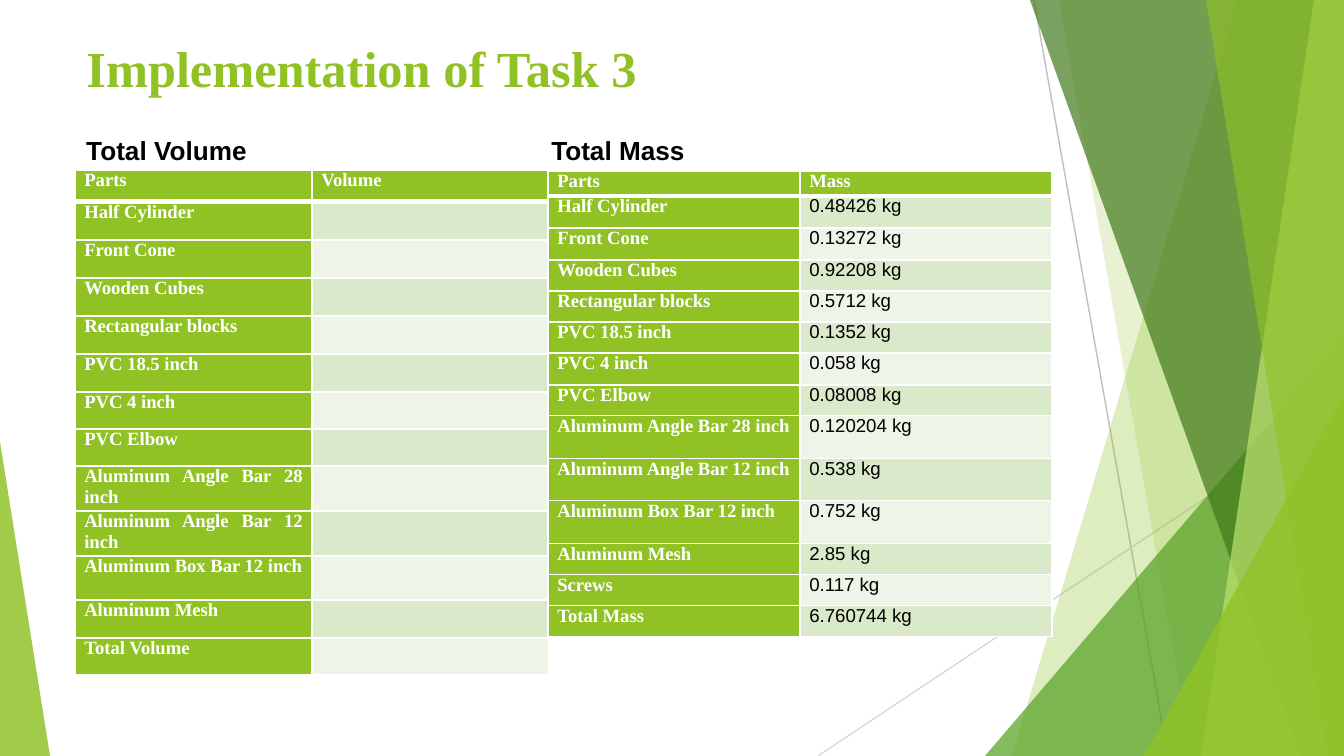
from lxml import etree
from pptx import Presentation
from pptx import util as u
from pptx.dml.color import RGBColor
from pptx.enum import shapes, text
from pptx.oxml.ns import qn

W, H = 1344, 756
SCALE = 9144000 / W
C = {"lime": "90C226", "green": "54A021", "dark": "3F7818", "pale": "BFE471",
     "white": "FFFFFF", "black": "000000", "band": "DBE9CB", "light": "EEF4E7",
     "grey": "BFBFBF", "silver": "D8D8D8"}
SERIF, SANS = "Times New Roman", "Arial"
PARTS = ["Half Cylinder", "Front Cone", "Wooden Cubes", "Rectangular blocks",
         "PVC 18.5 inch", "PVC 4 inch", "PVC Elbow", "Aluminum Angle Bar 28 inch",
         "Aluminum Angle Bar 12 inch", "Aluminum Box Bar 12 inch", "Aluminum Mesh"]
MASSES = ["0.48426 kg", "0.13272 kg", "0.92208 kg", "0.5712 kg", "0.1352 kg",
          "0.058 kg", "0.08008 kg", "0.120204 kg", "0.538 kg", "0.752 kg",
          "2.85 kg", "0.117 kg", "6.760744 kg"]
VOLUME_HEIGHTS = [32] + [38] * 5 + [37] * 2 + [45, 45, 44, 38, 37]
MASS_HEIGHTS = [25, 32, 32, 31, 31, 31, 32, 31, 43, 42, 43, 31, 31, 31]


def px(*lengths):
    """Turn px lengths into a list of EMU lengths."""
    return [u.Emu(round(n * SCALE)) for n in lengths]


def rgb(name):
    """Look up a colour by name."""
    return RGBColor.from_string(C[name])


def style(p, font, size, color, bold):
    """Set the font of a whole paragraph."""
    f = p.font
    f.name, f.size, f.bold = font, u.Pt(size), bold
    f.color.rgb = rgb(color)


def paint(sp, color, alpha):
    """Give a shape a see-through fill, no line and no shadow."""
    sp.shadow.inherit = False
    sp.line.fill.background()
    sp.fill.solid()
    sp.fill.fore_color.rgb = rgb(color)
    clr = sp.fill._xPr.find(".//" + qn("a:srgbClr"))
    etree.SubElement(clr, qn("a:alpha"), val=str(alpha * 1000))


def add_ray(s, x1, y1, x2, y2, color):
    """Draw a thin background line."""
    ln = s.shapes.add_connector(shapes.MSO_CONNECTOR.STRAIGHT, *px(x1, y1, x2, y2))
    ln.line.color.rgb = rgb(color)
    ln.line.width = u.Pt(0.75)
    etree.SubElement(ln._element.spPr, qn("a:effectLst"))


def add_panel(s, top_x, bottom_x, color, alpha):
    """Fill the area from a slanted edge to the right side of the slide."""
    fb = s.shapes.build_freeform(top_x, 0, scale=SCALE)
    fb.add_line_segments([(W, 0), (W, H), (bottom_x, H)], close=True)
    paint(fb.convert_to_shape(), color, alpha)


def add_corner(s, x, y, w, apex, color, alpha):
    """Draw a right triangle standing on the bottom edge of the slide."""
    sp = s.shapes.add_shape(shapes.MSO_SHAPE.ISOSCELES_TRIANGLE, *px(x, y, w, H - y))
    sp.adjustments[0] = apex
    paint(sp, color, alpha)


def add_facets(s):
    """Draw the faceted green background."""
    add_ray(s, 1034, 0, 1168, H, "grey")
    add_ray(s, W, 406, 818, H, "silver")
    add_panel(s, 1238, 1012, "lime", 29)
    add_panel(s, 1059, 1192, "lime", 20)
    add_corner(s, 985, 336, 359, 1, "green", 71)
    add_panel(s, 1030, 1301, "dark", 69)
    add_panel(s, 1314, 1201, "pale", 69)
    add_panel(s, 1206, 1328, "lime", 64)
    add_corner(s, 1144, 395, 200, 1, "lime", 80)
    add_corner(s, 0, 442, 50, 0, "lime", 84)


def add_title(s, x, y, w, h):
    """Place the slide title above the background."""
    sp = s.shapes.title
    s.shapes._spTree.append(sp._element)
    sp.left, sp.top, sp.width, sp.height = px(x, y, w, h)
    tf = sp.text_frame
    tf.text = "Implementation of Task 3"
    tf.vertical_anchor = text.MSO_ANCHOR.TOP
    tf.margin_top = px(13)[0]
    p = tf.paragraphs[0]
    p.alignment = text.PP_ALIGN.LEFT
    style(p, SERIF, 27, "lime", True)


def add_headings(s, x, y, w, h, tab):
    """Place both table headings, the second at a tab stop."""
    tf = s.shapes.add_textbox(*px(x, y, w, h)).text_frame
    tf.word_wrap = True
    tf.text = "Total Volume\tTotal Mass"
    p = tf.paragraphs[0]
    tabs = etree.SubElement(p._p.get_or_add_pPr(), qn("a:tabLst"))
    etree.SubElement(tabs, qn("a:tab"), pos=str(px(tab)[0]), algn="l")
    style(p, SANS, 14, "black", True)


def add_borders(cell, top, bottom):
    """Rule a cell in white with the given top and bottom widths."""
    tcPr = cell._tc.get_or_add_tcPr()
    for side, width in zip("LRTB", (1, 1, top, bottom)):
        ln = etree.SubElement(tcPr, qn("a:ln" + side), w=str(u.Pt(width)))
        fill = etree.SubElement(ln, qn("a:solidFill"))
        etree.SubElement(fill, qn("a:srgbClr"), val=C["white"])


def add_parts_table(s, x, y, col_w, heights, rows):
    """Place a two-column table with a green header row and first column."""
    frame = s.shapes.add_table(len(rows), 2, *px(x, y, 2 * col_w, sum(heights)))
    tbl = frame.table
    for col in tbl.columns:
        col.width = px(col_w)[0]
    for i, (height, row) in enumerate(zip(heights, rows)):
        tbl.rows[i].height = px(height)[0]
        for j, value in enumerate(row):
            cell = tbl.cell(i, j)
            label = i == 0 or j == 0
            add_borders(cell, 3 if i == 1 else 1, 3 if i == 0 else 1)
            cell.fill.solid()
            cell.fill.fore_color.rgb = rgb("lime" if label else "band" if i % 2 else "light")
            cell.margin_left = cell.margin_right = u.Inches(0.07)
            cell.margin_top = cell.margin_bottom = 0
            cell.text = value
            p = cell.text_frame.paragraphs[0]
            p.alignment = text.PP_ALIGN.JUSTIFY
            style(p, SERIF if label else SANS, 10, "white" if label else "black", label)
            if not value:
                etree.SubElement(p._p, qn("a:endParaRPr"), sz="1000")


def main():
    """Build and save the slide."""
    prs = Presentation()
    prs.slide_width, prs.slide_height = px(W, H)
    s = prs.slides.add_slide(prs.slide_layouts[5])
    add_facets(s)
    add_title(s, 73, 24, 953, 103)
    volumes = [("Parts", "Volume")] + [(part, "") for part in PARTS + ["Total Volume"]]
    masses = [("Parts", "Mass"), *zip(PARTS + ["Screws", "Total Mass"], MASSES)]
    add_parts_table(s, 75, 170, 237, VOLUME_HEIGHTS, volumes)
    add_parts_table(s, 548, 171, 252, MASS_HEIGHTS, masses)
    add_headings(s, 73, 128, 953, 46, 465)
    prs.save("out.pptx")


if __name__ == "__main__":
    main()
